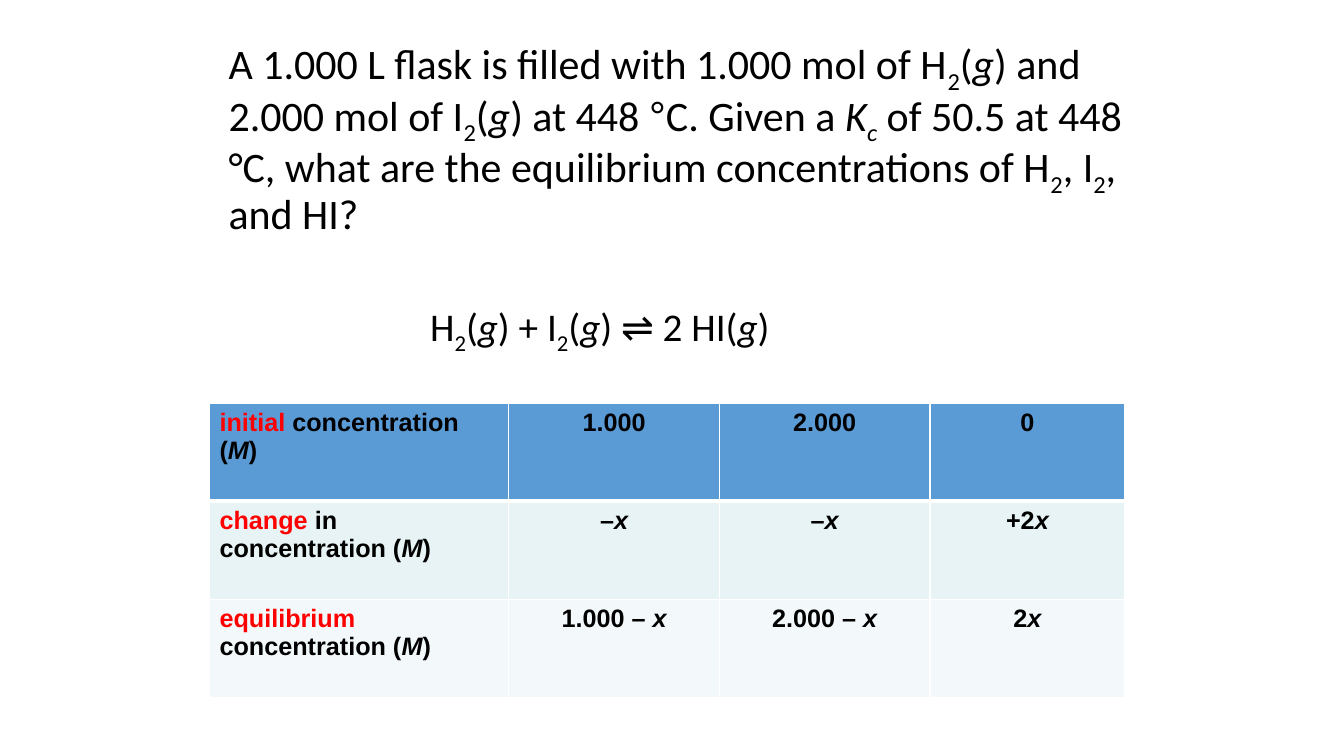
from lxml import etree
from pptx import Presentation
from pptx.dml.color import RGBColor
from pptx.enum import text
from pptx.oxml import ns
from pptx.util import Cm, Pt

BLACK = RGBColor(0x00, 0x00, 0x00)
RED = RGBColor(0xFF, 0x00, 0x00)
ROW_FILLS = [RGBColor(0x5B, 0x9B, 0xD5), RGBColor(0xE7, 0xF3, 0xF4), RGBColor(0xF3, 0xF9, 0xFA)]
BORDER = "FFFFFF"

# Runs are split by "|"; leading marks: * italic, _ subscript, ! red, @ Arial
QUESTION = ("A 1.000 L flask is filled with 1.000 mol of H|_2|(|*g|) and 2.000 mol of I|_2|(|*g"
            "|) at 448 |@°|C. Given a |*K|*_c| of 50.5 at 448 °C, what are the equilibrium "
            "concentrations of H|_2|, I|_2|, and HI?")
REACTION = "H|_2|(|*g|) + I|_2|(|*g|) ⇌ 2 HI(|*g|)"
ICE_ROWS = [
    ["!initial| concentration (|*M|)", "1.000", "2.000", "0"],
    ["!change| in concentration (|*M|)", "–|*x", "–|*x", "+2|*x"],
    ["!equilibrium |concentration (|*M|)", "1.000 – |*x", "2.000 – |*x", "2|*x"],
]


def add_runs(paragraph, marked, **base_format):
    for piece in marked.split("|"):
        words = piece.lstrip("*_!@")
        marks = piece[:len(piece) - len(words)]
        run = paragraph.add_run()
        run.text = words
        run_format = dict(base_format, italic="*" in marks)
        if "@" in marks:
            run_format["name"] = "Arial"
        for attribute, value in run_format.items():
            setattr(run.font, attribute, value)
        run.font.color.rgb = RED if "!" in marks else BLACK
        if "_" in marks:
            run.font._element.set("baseline", "-25000")


def add_problem(slide, left, top, width, height):
    frame = slide.shapes.add_textbox(left, top, width, height).text_frame
    frame.word_wrap = True

    # Question
    question = frame.paragraphs[0]
    question.line_spacing = 0.9
    add_runs(question, QUESTION, name="Calibri", size=Pt(30))

    # Reaction, indented below the question
    reaction = frame.add_paragraph()
    reaction.line_spacing = 0.9
    reaction.space_before = Pt(46)
    reaction._p.get_or_add_pPr().set("marL", str(Cm(5.08)))
    add_runs(reaction, REACTION, name="Calibri", size=Pt(28))


def set_borders(cell, **widths):
    properties = cell._tc.get_or_add_tcPr()
    for side in "LRTB":
        line = etree.SubElement(properties, ns.qn(f"a:ln{side}"), w=str(Pt(widths.get(side, 1))))
        fill = etree.SubElement(line, ns.qn("a:solidFill"))
        etree.SubElement(fill, ns.qn("a:srgbClr"), val=BORDER)


def add_ice_table(slide, left, top, width, height):
    table = slide.shapes.add_table(3, 4, left, top, width, height).table
    for column, share in zip(table.columns, (0.327, 0.23, 0.23, 0.213)):
        column.width = int(width * share)
    header_rule = [{"B": 3}, {"T": 3}, {}]
    for r, row in enumerate(ICE_ROWS):
        for c, entry in enumerate(row):
            cell = table.cell(r, c)
            set_borders(cell, **header_rule[r])
            cell.fill.solid()
            cell.fill.fore_color.rgb = ROW_FILLS[r]
            paragraph = cell.text_frame.paragraphs[0]
            paragraph.alignment = text.PP_ALIGN.CENTER if c else text.PP_ALIGN.LEFT
            add_runs(paragraph, entry, name="Arial", size=Pt(18), bold=True)


def main():
    deck = Presentation()
    deck.slide_width, deck.slide_height = Cm(33.87), Cm(19.05)
    slide = deck.slides.add_slide(deck.slide_layouts[6])
    add_problem(slide, Cm(5.51), Cm(0.84), Cm(23.29), Cm(9.32))
    add_ice_table(slide, Cm(5.28), Cm(10.16), Cm(23.07), Cm(7.41))
    deck.save("out.pptx")


if __name__ == "__main__":
    main()
